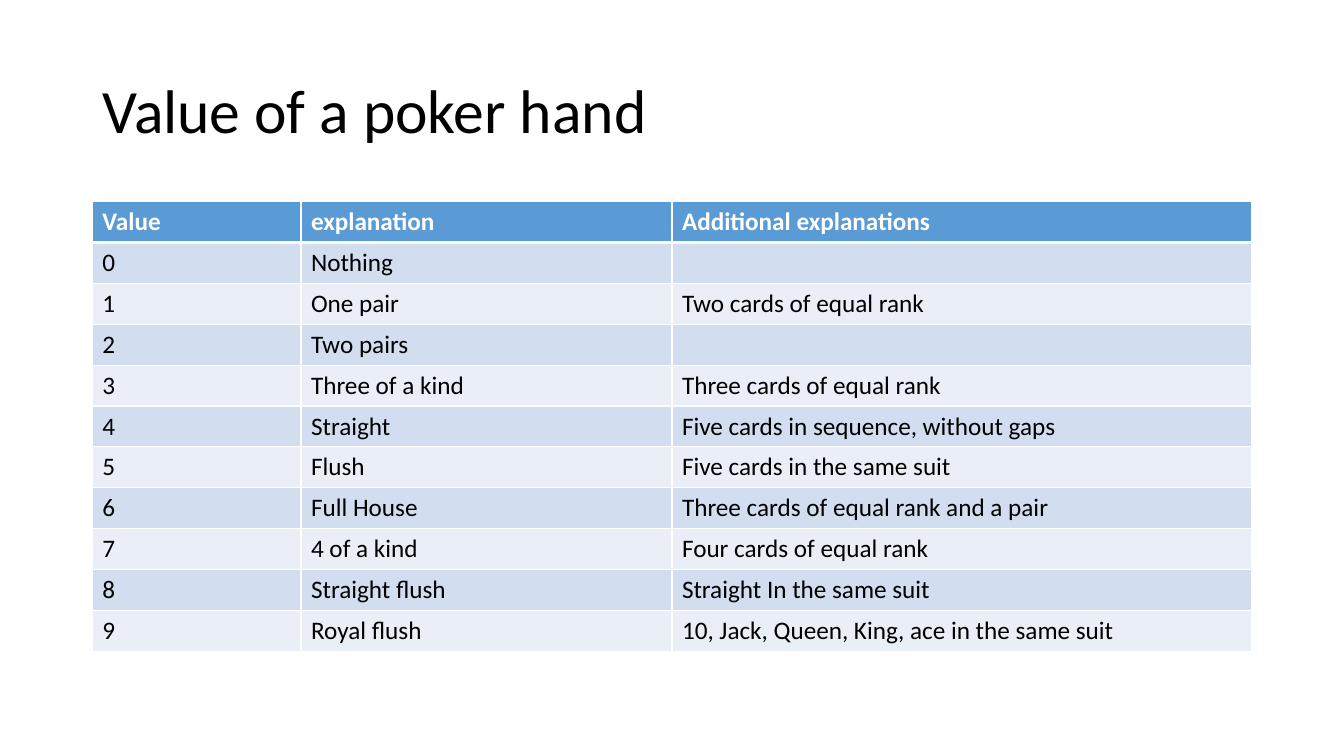
"""Build a slide with a table of poker hand values."""
from lxml import etree
from pptx import Presentation
from pptx.dml.color import RGBColor
from pptx.enum import text
from pptx.oxml import ns
from pptx.util import Pt

BLACK = RGBColor(0x00, 0x00, 0x00)
WHITE = RGBColor(0xFF, 0xFF, 0xFF)
BLUE = RGBColor(0x5B, 0x9B, 0xD5)
BANDS = [RGBColor(0xEA, 0xEF, 0xF7), RGBColor(0xD2, 0xDE, 0xEF)]

HEAD = ("Value", "explanation", "Additional explanations")
HANDS = [
    ("Nothing", ""),
    ("One pair", "Two cards of equal rank"),
    ("Two pairs", ""),
    ("Three of a kind", "Three cards of equal rank"),
    ("Straight", "Five cards in sequence, without gaps"),
    ("Flush", "Five cards in the same suit"),
    ("Full House", "Three cards of equal rank and a pair"),
    ("4 of a kind", "Four cards of equal rank"),
    ("Straight flush", "Straight In the same suit"),
    ("Royal flush", "10, Jack, Queen, King, ace in the same suit"),
]
ROWS = [HEAD] + [(str(value), *hand) for value, hand in enumerate(HANDS)]
WIDTHS = [149, 265, 414]
HEIGHT = 29.2


def style(para, size, color, bold=False):
    look = {"name": "Calibri", "size": Pt(size), "bold": bold}
    for key, val in look.items():
        setattr(para.font, key, val)
    para.font.color.rgb = color


def border(cell, side, width):
    props = cell._tc.get_or_add_tcPr()
    line = etree.SubElement(props, ns.qn(f"a:ln{side}"), w=str(Pt(width)))
    fill = etree.SubElement(line, ns.qn("a:solidFill"))
    etree.SubElement(fill, ns.qn("a:srgbClr"), val=str(WHITE))


deck = Presentation()
deck.slide_width, deck.slide_height = Pt(960), Pt(540)
slide = deck.slides.add_slide(deck.slide_layouts[5])

title = slide.shapes.title
place = {"left": 66, "top": 28.75, "width": 828, "height": 104.4}
for key, val in place.items():
    setattr(title, key, Pt(val))
frame = title.text_frame
frame.text = "Value of a poker hand"
frame.vertical_anchor = text.MSO_ANCHOR.MIDDLE
para = frame.paragraphs[0]
para.alignment = text.PP_ALIGN.LEFT
para.line_spacing = 0.9
style(para, 44, BLACK)

table = slide.shapes.add_table(
    len(ROWS), len(WIDTHS), Pt(66), Pt(144),
    Pt(sum(WIDTHS)), Pt(HEIGHT * len(ROWS))).table
for col, width in zip(table.columns, WIDTHS):
    col.width = Pt(width)

for i, words in enumerate(ROWS):
    table.rows[i].height = Pt(HEIGHT)
    top = i == 0
    for j, word in enumerate(words):
        cell = table.cell(i, j)
        cell.text = word
        style(cell.text_frame.paragraphs[0], 18, WHITE if top else BLACK, top)
        for side in "LRTB":
            thick = (top and side == "B") or (i == 1 and side == "T")
            border(cell, side, 3 if thick else 1)
        cell.fill.solid()
        cell.fill.fore_color.rgb = BLUE if top else BANDS[i % 2]

deck.save("out.pptx")
